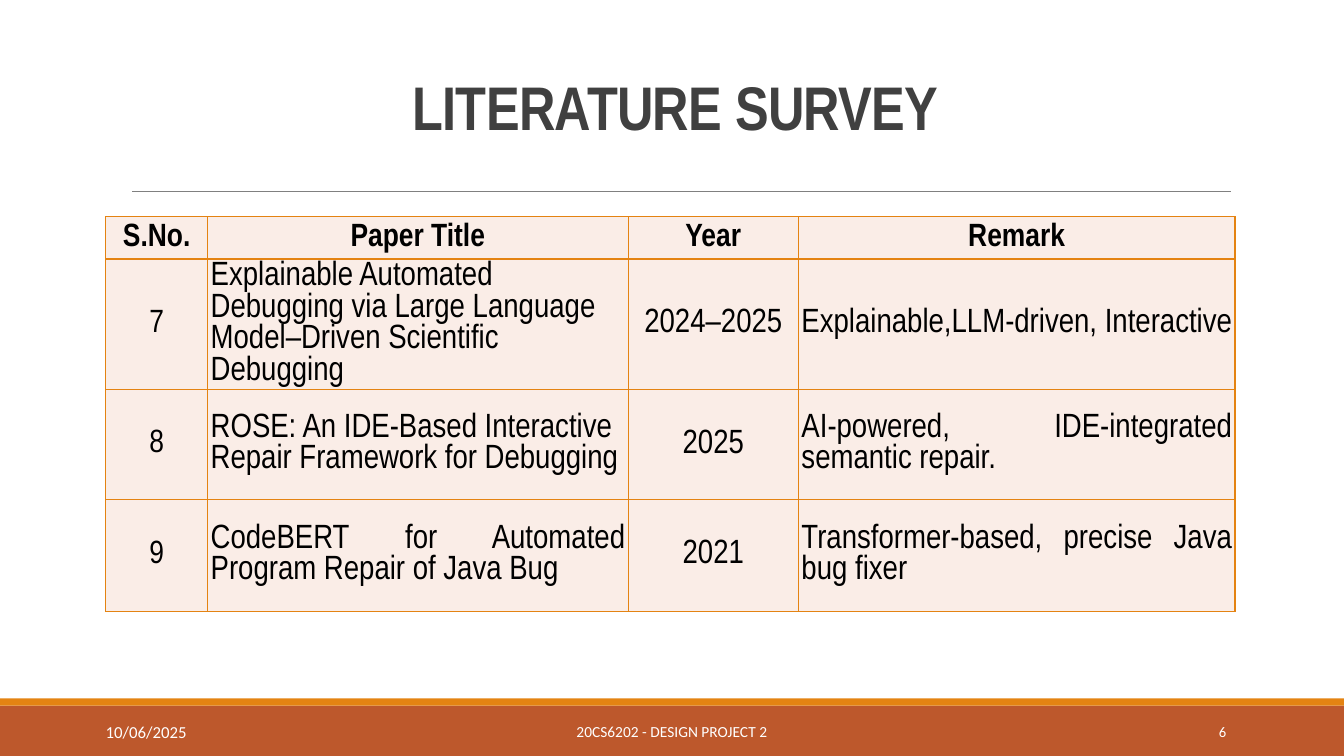
"""Build the literature survey slide with its table and footer band."""
from lxml.etree import SubElement
from pptx import Presentation
from pptx.dml.color import RGBColor
from pptx.enum.shapes import MSO_CONNECTOR, MSO_SHAPE
from pptx.enum.text import MSO_ANCHOR, MSO_AUTO_SIZE, PP_ALIGN
from pptx.oxml import parse_xml
from pptx.oxml.ns import nsdecls, qn
from pptx.util import Emu, Pt

SCALE = 9144
NARROW = "Arial Narrow"
ORANGE, RUST, PALE = "E48312", "BD582C", "FAEDE7"
LEFT, CENTER, RIGHT, JUST = (
    PP_ALIGN.LEFT, PP_ALIGN.CENTER, PP_ALIGN.RIGHT, PP_ALIGN.JUSTIFY)
WIDTHS = [101, 417, 169, 433]
HEIGHTS = [42, 105, 109, 111]
HEADS = ["S.No.", "Paper Title", "Year", "Remark"]
PAPERS = [
    ["7", "Explainable Automated Debugging via Large Language "
     "Model–Driven Scientific Debugging", "2024–2025",
     "Explainable,LLM-driven, Interactive"],
    ["8", "ROSE: An IDE-Based Interactive Repair Framework for Debugging",
     "2025", "AI-powered, IDE-integrated semantic repair."],
    ["9", "CodeBERT for Automated Program Repair of Java Bug",
     "2021", "Transformer-based, precise Java bug fixer"],
]
ALIGNS = [
    [CENTER] * 4,
    [CENTER, LEFT, CENTER, JUST],
    [CENTER, LEFT, CENTER, JUST],
    [CENTER, JUST, CENTER, JUST],
]


def px(*sizes):
    """Turn pixel lengths into EMU."""
    return [Emu(size * SCALE) for size in sizes]


def tint(code):
    """Turn a hex string into a colour."""
    return RGBColor.from_string(code)


def write(frame, text, size=12, font="Calibri", color="FFFFFF", bold=False,
          align=LEFT, lines=None, track=None):
    """Put one formatted paragraph in a text frame."""
    frame.word_wrap = True
    para = frame.paragraphs[0]
    para.alignment = align
    if lines:
        para.line_spacing = lines
    run = para.add_run()
    run.text = text
    run.font.size, run.font.name, run.font.bold = Pt(size), font, bold
    run.font.color.rgb = tint(color)
    if track:
        run.font._element.set("spc", str(track))


def add_band(slide, top, height, color):
    """Draw a plain band across the slide."""
    band = slide.shapes.add_shape(
        MSO_SHAPE.RECTANGLE, *px(0, top, 1333, height))
    band.shadow.inherit = False
    band.fill.solid()
    band.fill.fore_color.rgb = tint(color)
    band.line.fill.background()


def add_rule(slide, left, right, top):
    """Draw the thin line below the title."""
    rule = slide.shapes.add_connector(
        MSO_CONNECTOR.STRAIGHT, *px(left, top, right, top))
    rule.line.color.rgb = tint("808080")
    rule.line.width = Pt(0.5)
    SubElement(rule._element.spPr, qn("a:effectLst"))


def add_title(slide, text):
    """Place and format the title."""
    title = slide.shapes.title
    title.left, title.top, title.width, title.height = px(120, 31, 1100, 159)
    frame = title.text_frame
    frame.auto_size = MSO_AUTO_SIZE.NONE
    frame.vertical_anchor = MSO_ANCHOR.MIDDLE
    write(frame, text, size=44, font=NARROW, color="404040", bold=True,
          align=CENTER, lines=0.85, track=-50)


def add_note(slide, text, place, anchor=MSO_ANCHOR.MIDDLE, **style):
    """Add a line of footer text."""
    frame = slide.shapes.add_textbox(*px(*place)).text_frame
    frame.vertical_anchor = anchor
    write(frame, text, **style)


def edge_cell(cell):
    """Outline all four sides of a cell."""
    for index, side in enumerate("LRTB"):
        cell._tc.get_or_add_tcPr().insert(index, parse_xml(
            f'<a:ln{side} {nsdecls("a")} w="12700"><a:solidFill>'
            f'<a:srgbClr val="{ORANGE}"/></a:solidFill></a:ln{side}>'))


def add_grid(slide):
    """Add the table of papers."""
    table = slide.shapes.add_table(
        len(HEIGHTS), len(WIDTHS),
        *px(105, 215, sum(WIDTHS), sum(HEIGHTS))).table
    table.first_row = table.horz_banding = False
    for column, width in zip(table.columns, px(*WIDTHS)):
        column.width = width
    for row, height in zip(table.rows, px(*HEIGHTS)):
        row.height = height
    for y, texts in enumerate([HEADS] + PAPERS):
        for x, text in enumerate(texts):
            cell = table.cell(y, x)
            cell.fill.solid()
            cell.fill.fore_color.rgb = tint(PALE)
            cell.vertical_anchor = MSO_ANCHOR.MIDDLE
            cell.margin_left, cell.margin_right = px(3, 3)
            cell.margin_top, cell.margin_bottom = px(2, 2)
            edge_cell(cell)
            write(cell.text_frame, text, size=24 if x and y else 23,
                  font=NARROW, color="000000", bold=y == 0,
                  align=ALIGNS[y][x])


def main():
    """Build and save the slide."""
    deck = Presentation()
    deck.slide_width, deck.slide_height = px(1333, 750)
    slide = deck.slides.add_slide(deck.slide_layouts[5])
    add_band(slide, 700, 50, RUST)
    add_band(slide, 693, 7, ORANGE)
    add_rule(slide, 131, 1221, 190)
    add_title(slide, "LITERATURE SURVEY")
    add_grid(slide)
    add_note(slide, "20CS6202 - DESIGN PROJECT 2", (403, 706, 527, 40),
             size=11, align=CENTER)
    add_note(slide, "6", (1083, 706, 143, 40), size=10.5, align=RIGHT)
    add_note(slide, "10/06/2025", (95, 711, 259, 30), anchor=MSO_ANCHOR.TOP)
    deck.save("out.pptx")


if __name__ == "__main__":
    main()
